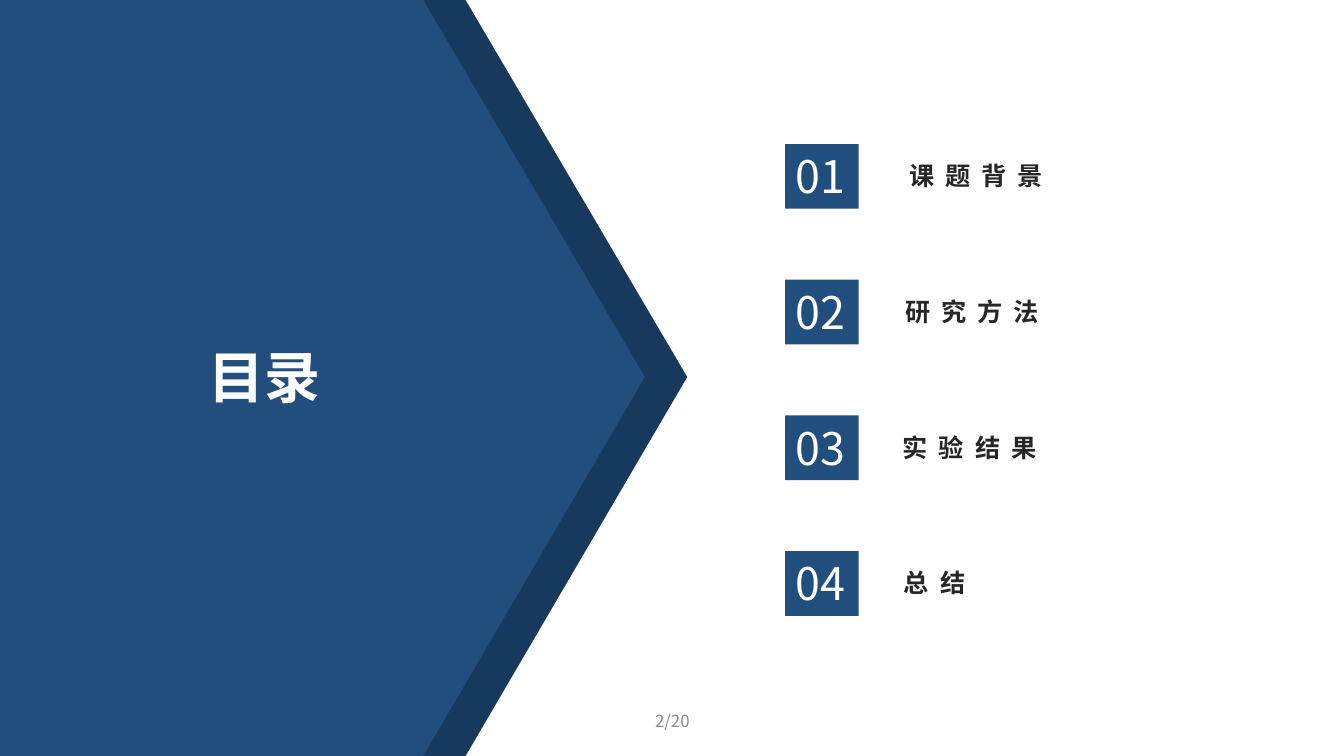
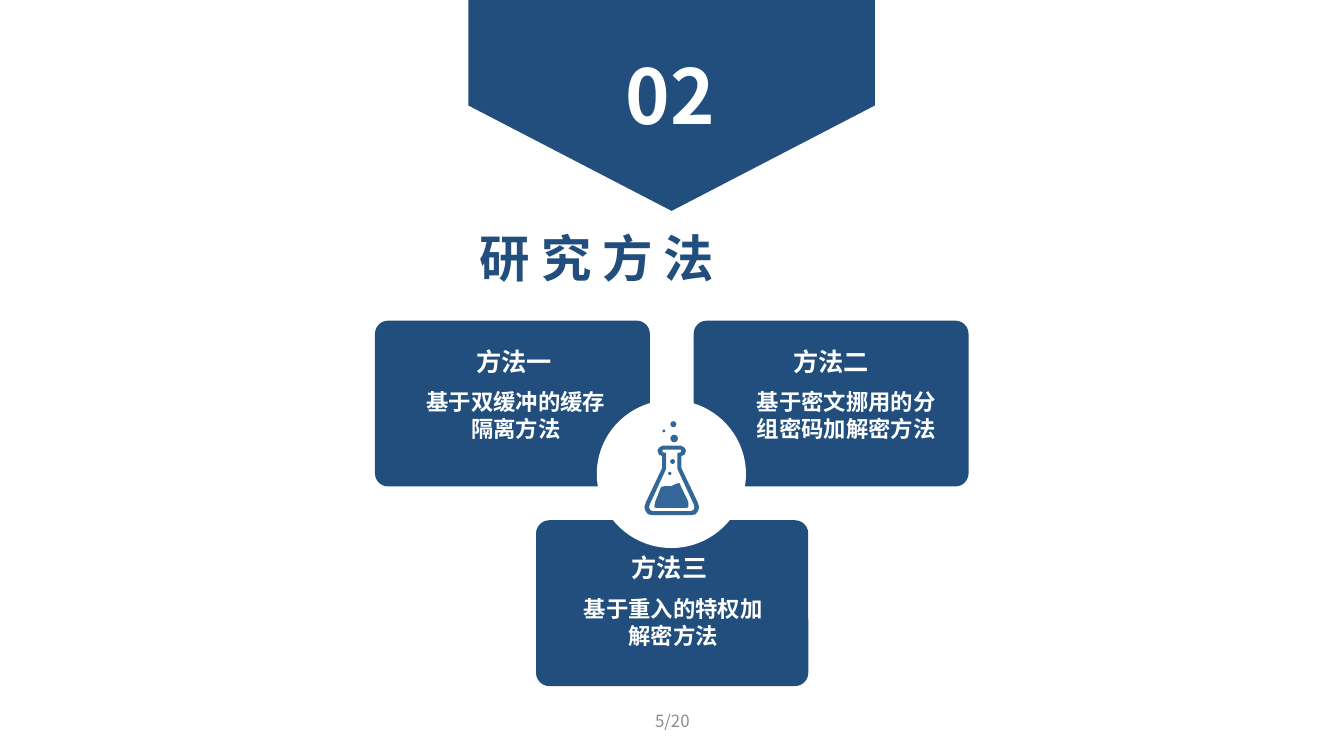
from lxml.etree import SubElement
from pptx import Presentation
from pptx.dml.color import RGBColor
from pptx.enum.shapes import MSO_SHAPE
from pptx.enum.text import MSO_ANCHOR, MSO_AUTO_SIZE, PP_ALIGN
from pptx.oxml.ns import qn
from pptx.util import Cm, Pt

BLUE = RGBColor(0x21, 0x4E, 0x7D)
NAVY = RGBColor(0x18, 0x39, 0x5E)
FLASK_BLUE = RGBColor(0x33, 0x66, 0x99)
INK = RGBColor(0x26, 0x26, 0x26)
GRAY = RGBColor(0x8C, 0x8C, 0x8C)
WHITE = RGBColor(0xFF, 0xFF, 0xFF)
FONT = "Noto Sans CJK SC"


def paint(shape, color):
    shape.shadow.inherit = False
    shape.fill.solid()
    shape.fill.fore_color.rgb = color
    shape.line.fill.background()
    return shape


def write(box, text, size, color, bold=True, align=PP_ALIGN.LEFT, wrap=True, spacing=0):
    frame = box.text_frame
    frame.word_wrap = wrap
    frame.auto_size = MSO_AUTO_SIZE.SHAPE_TO_FIT_TEXT
    frame.vertical_anchor = MSO_ANCHOR.TOP
    para = frame.paragraphs[0]
    para.text = text
    para.alignment = align
    font = para.font
    font.size = Pt(size)
    font.bold = bold
    font.color.rgb = color
    font.name = FONT
    properties = para._p.pPr.find(qn("a:defRPr"))
    SubElement(properties, qn("a:ea")).set("typeface", FONT)
    if spacing:
        properties.set("spc", str(round(spacing * 100)))
    return frame


deck = Presentation()
deck.slide_width = Cm(33.87)
deck.slide_height = Cm(19.05)
contents, methods = [deck.slides.add_slide(deck.slide_layouts[6]) for _ in range(2)]

for page, number in ((contents, "2/20"), (methods, "5/20")):
    box = page.shapes.add_textbox(Cm(11.23), Cm(17.65), Cm(11.43), Cm(1.02))
    frame = write(box, number, 12, GRAY, bold=False, align=PP_ALIGN.CENTER)
    frame.auto_size = MSO_AUTO_SIZE.NONE
    frame.vertical_anchor = MSO_ANCHOR.MIDDLE

shapes = contents.shapes
paint(shapes.add_shape(MSO_SHAPE.RECTANGLE, 0, 0, Cm(10.67), Cm(19.05)), BLUE)
triangle = paint(shapes.add_shape(
    MSO_SHAPE.ISOSCELES_TRIANGLE, Cm(3.99), Cm(6.68), Cm(19.05), Cm(5.69)), BLUE)
triangle.rotation = 90
triangle.line.color.rgb = BLUE
triangle.line.width = Pt(1)
for top, height, flipped in ((9.5, 9.55, False), (0, 9.5, True)):
    edge = paint(shapes.add_shape(
        MSO_SHAPE.PARALLELOGRAM, Cm(10.67), Cm(top), Cm(6.65), Cm(height)), NAVY)
    edge.adjustments[0] = 0.84
    if flipped:
        edge._element.spPr.find(qn("a:xfrm")).set("flipH", "1")

box = shapes.add_textbox(Cm(4.98), Cm(8.51), Cm(3.35), Cm(1.96))
write(box, "目录", 40, WHITE, align=PP_ALIGN.CENTER, wrap=False)

chapters = (("课题背景", 22.66), ("研究方法", 22.56), ("实验结果", 22.5), ("总结", 22.53))
for index, (chapter, left) in enumerate(chapters):
    top = 3.63 + 3.42 * index
    tile = paint(shapes.add_shape(
        MSO_SHAPE.RECTANGLE, Cm(19.79), Cm(top), Cm(1.85), Cm(1.63)), BLUE)
    write(tile, f"{index + 1:02}", 32, WHITE, bold=False, wrap=False)
    box = shapes.add_textbox(Cm(left), Cm(top + 0.29), Cm(5.4), Cm(1.02))
    write(box, chapter, 18, INK, align=PP_ALIGN.JUSTIFY, spacing=7.9)

shapes = methods.shapes
banner = paint(shapes.add_shape(
    MSO_SHAPE.PENTAGON, Cm(14.27), Cm(-2.46), Cm(5.31), Cm(10.24)), BLUE)
banner.rotation = 90
box = shapes.add_textbox(Cm(15.52), Cm(1.12), Cm(2.87), Cm(2.57))
write(box, "02", 54, WHITE, wrap=False)
box = shapes.add_textbox(Cm(11.84), Cm(5.59), Cm(10.03), Cm(1.8))
write(box, "研究方法", 36, BLUE, align=PP_ALIGN.JUSTIFY, spacing=7.9)

cards = (
    ("方法一", "基于双缓冲的缓存隔离方法", 9.45, 8.08, 6.93, 11.76, 8.59, 10.36, 9.65),
    ("方法二", "基于密文挪用的分组密码加解密方法", 17.48, 8.08, 6.93, 19.74, 8.59, 18.69, 9.65),
    ("方法三", "基于重入的特权加解密方法", 13.51, 13.11, 6.86, 15.67, 13.79, 14.33, 14.88),
)
for heading, body, left, top, width, heading_left, heading_top, body_left, body_top in cards:
    card = paint(shapes.add_shape(
        MSO_SHAPE.ROUNDED_RECTANGLE, Cm(left), Cm(top), Cm(width), Cm(4.18)), BLUE)
    card.adjustments[0] = 0.08
    box = shapes.add_textbox(Cm(body_left), Cm(body_top), Cm(5.28), Cm(1.63))
    write(box, body, 16, WHITE, align=PP_ALIGN.CENTER)
    box = shapes.add_textbox(Cm(heading_left), Cm(heading_top), Cm(2.44), Cm(1.02))
    write(box, heading, 18, WHITE, wrap=False)

paint(shapes.add_shape(MSO_SHAPE.OVAL, Cm(15.04), Cm(10.08), Cm(3.76), Cm(3.73)), WHITE)

outer_half = [(23, 0), (32, 5), (36, 13), (32, 23), (24, 26), (24, 56),
              (65, 142), (69, 155), (66, 165), (60, 173), (50, 175)]
inner_half = [(22, 10), (24, 13), (22, 17), (15, 18), (14, 21), (14, 58),
              (55, 147), (57, 155), (55, 162), (48, 165)]
liquid = [(19, 94), (9, 97), (-1, 102), (-17, 102), (-27, 104), (-42, 142),
          (-44, 155), (-39, 157), (37, 157), (42, 155), (42, 142)]
outer, inner = [half + [(-x, y) for x, y in reversed(half)]
                for half in (outer_half, inner_half)]
for outlines in ((outer, inner), (liquid,)):
    builder = shapes.build_freeform(*outlines[0][0], scale=Cm(0.01))
    for outline in outlines:
        builder.move_to(*outline[0])
        builder.add_line_segments(outline[1:], close=True)
    paint(builder.convert_to_shape(Cm(16.93), Cm(11.23)), FLASK_BLUE)

bubbles = ((16.99, 11.05, 0.19), (16.73, 10.86, 0.07), (16.97, 10.69, 0.15),
           (16.95, 11.63, 0.12), (16.88, 11.93, 0.08))
for x, y, size in bubbles:
    paint(shapes.add_shape(
        MSO_SHAPE.OVAL, Cm(x - size / 2), Cm(y - size / 2), Cm(size), Cm(size)), FLASK_BLUE)

deck.save("out.pptx")
